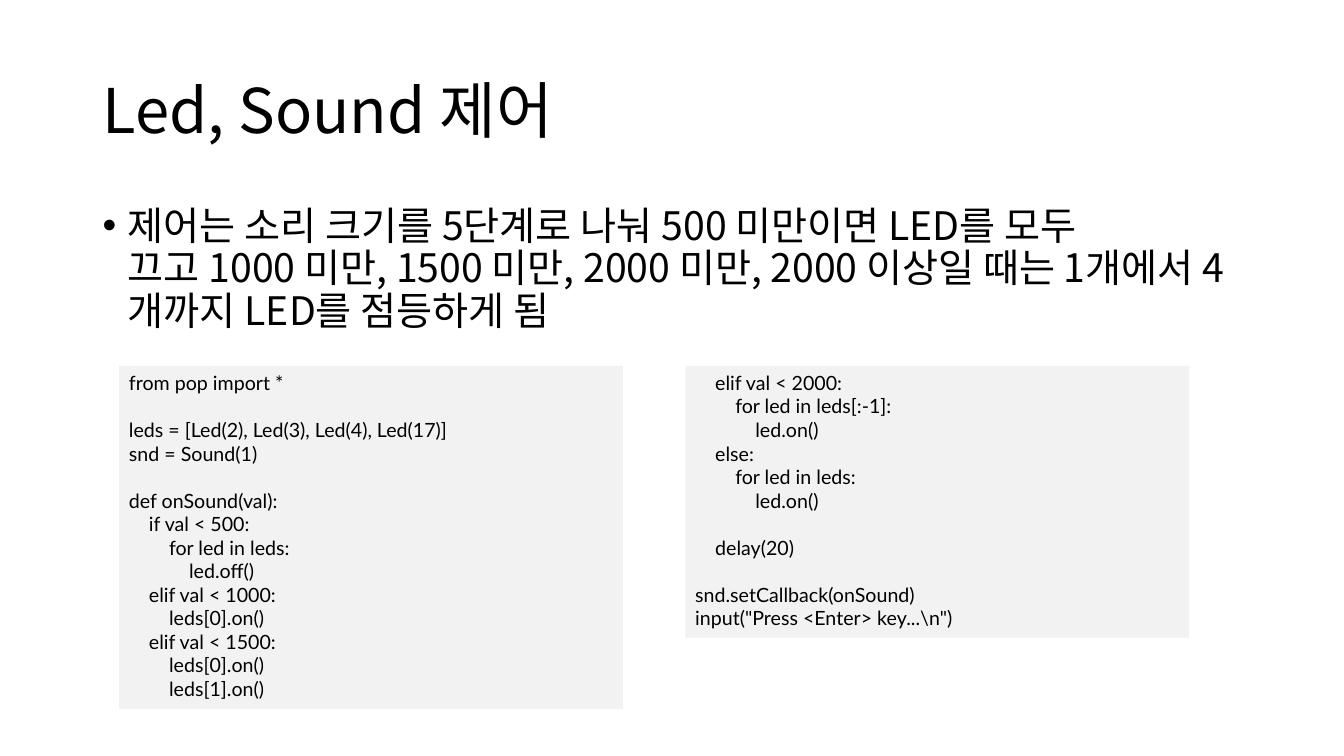
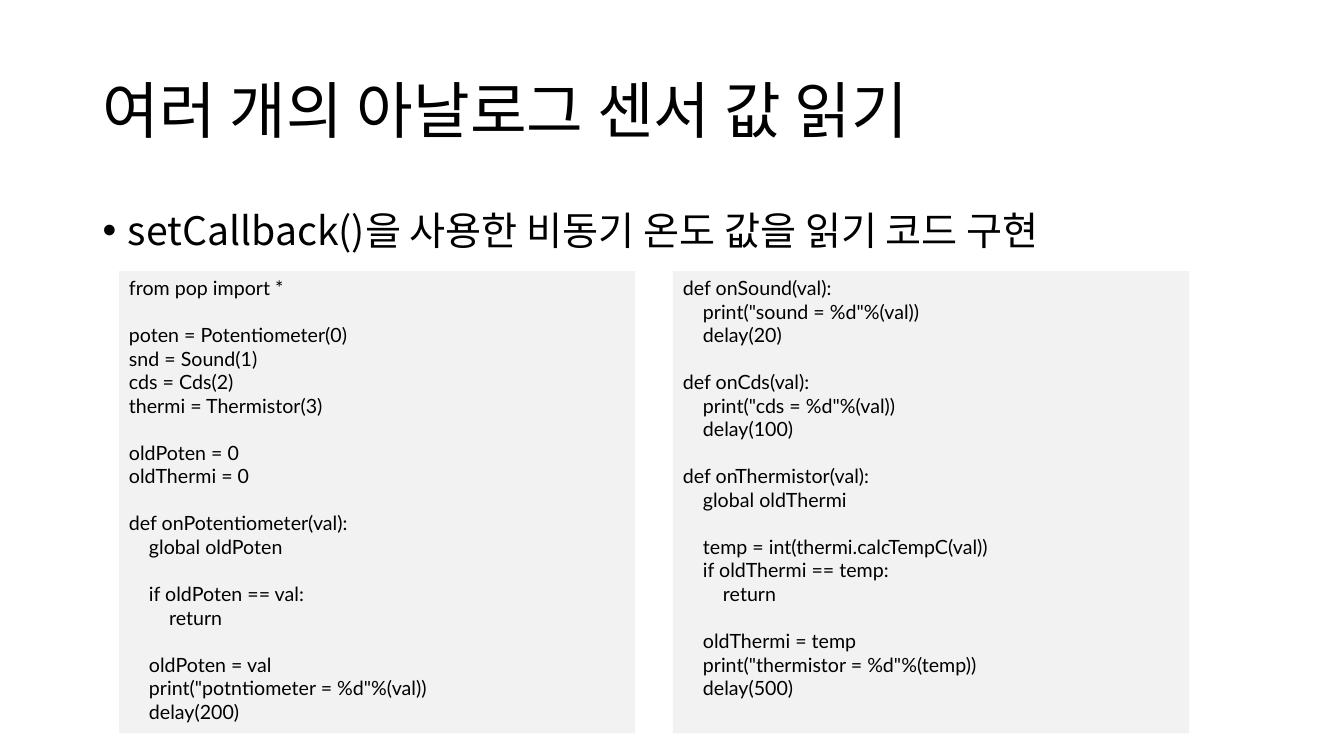
from lxml.etree import SubElement
from pptx import Presentation
from pptx.dml.color import RGBColor as Rgb
from pptx.enum.shapes import MSO_SHAPE as Shape
from pptx.enum.text import MSO_ANCHOR as Anchor, MSO_AUTO_SIZE as Fit, PP_ALIGN as Align
from pptx.oxml.ns import qn
from pptx.util import Cm, Pt

COLORS = {"ink": "000000", "panel": "F2F2F2"}
KOREAN = "Noto Sans CJK KR"
FONTS = {
    "title": {"name": KOREAN, "size": Pt(44), "bold": False},
    "body": {"name": KOREAN, "size": Pt(28), "bold": False},
    "code": {"name": "Lato", "size": Pt(14), "bold": False},
}

# Boxes in cm: left, top, width, height
TITLE = (2.33, 1.01, 29.21, 3.68)
BODY = (2.33, 5.08, 29.21, 13.55)
CODE_LEFT, CODE_WIDTH = 3, 26.97
LINE, PAD = 0.6, 0.25
HANG = Cm(0.64)

LED_TEXT = """제어는 소리 크기를 5단계로 나눠 500 미만이면 LED를 모두 
끄고 1000 미만, 1500 미만, 2000 미만, 2000 이상일 때는 1개에서 4개까지 LED를 점등하게 됨"""

LED_CODE = (
    r"""from pop import *

leds = [Led(2), Led(3), Led(4), Led(17)]
snd = Sound(1)

def onSound(val):
    if val < 500:
        for led in leds:
            led.off()
    elif val < 1000:
        leds[0].on()
    elif val < 1500:
        leds[0].on()
        leds[1].on()""",
    r"""    elif val < 2000:
        for led in leds[:-1]:
            led.on()
    else:
        for led in leds:
            led.on()

    delay(20)

snd.setCallback(onSound)
input("Press <Enter> key...\n")""",
)

SENSOR_CODE = (
    r"""from pop import *

poten = Potentiometer(0)
snd = Sound(1)
cds = Cds(2)
thermi = Thermistor(3)

oldPoten = 0
oldThermi = 0

def onPotentiometer(val):
    global oldPoten

    if oldPoten == val:
        return

    oldPoten = val
    print("potntiometer = %d"%(val))
    delay(200)""",
    r"""def onSound(val):
    print("sound = %d"%(val))
    delay(20)

def onCds(val):
    print("cds = %d"%(val))
    delay(100)

def onThermistor(val):
    global oldThermi

    temp = int(thermi.calcTempC(val))
    if oldThermi == temp:
        return

    oldThermi = temp
    print("thermistor = %d"%(temp))
    delay(500)""",
)


def style(run, role):
    for key, value in FONTS[role].items():
        setattr(run.font, key, value)
    run.font.color.rgb = Rgb.from_string(COLORS["ink"])
    SubElement(run.font._element, qn("a:ea"), typeface=FONTS[role]["name"])


def fill_holder(holder, box, text, role, spacing):
    """Move a placeholder to its box and write one paragraph in it."""
    holder.left, holder.top, holder.width, holder.height = map(Cm, box)
    frame = holder.text_frame
    frame.auto_size = Fit.NONE
    para = frame.paragraphs[0]
    para.text = text
    layout = {"alignment": Align.LEFT, "line_spacing": spacing, "space_before": Pt(0)}
    for key, value in layout.items():
        setattr(para, key, value)
    for run in para.runs:
        style(run, role)
    return para


def add_panel(slide, box, lines):
    panel = slide.shapes.add_shape(Shape.RECTANGLE, *map(Cm, box))
    panel.shadow.inherit = False
    panel.fill.solid()
    panel.fill.fore_color.rgb = Rgb.from_string(COLORS["panel"])
    panel.line.fill.background()
    frame = panel.text_frame
    frame.word_wrap = True
    frame.vertical_anchor = Anchor.TOP
    for num, line in enumerate(lines):
        para = frame.add_paragraph() if num else frame.paragraphs[0]
        para.alignment = Align.LEFT
        run = para.add_run()
        run.text = line or " "  # keeps the code font on an empty line
        style(run, "code")


def add_code(slide, top, gap, code, even):
    """Set listings side by side; even gives them all the tallest height."""
    parts = [part.splitlines() for part in code]
    most = max(map(len, parts))
    width = (CODE_WIDTH - gap * (len(parts) - 1)) / len(parts)
    for num, lines in enumerate(parts):
        left = CODE_LEFT + num * (width + gap)
        height = PAD + LINE * (most if even else len(lines))
        add_panel(slide, (left, top, width, height), lines)


def add_page(deck, title, text, spacing, top, gap, code, even=False):
    slide = deck.slides.add_slide(deck.slide_layouts[1])
    fill_holder(slide.shapes.title, TITLE, title, "title", 0.9)
    para = fill_holder(slide.placeholders[1], BODY, text, "body", spacing)
    props = para._p.get_or_add_pPr()
    props.set("marL", str(HANG))
    props.set("indent", str(-HANG))
    add_code(slide, top, gap, code, even)


def main():
    deck = Presentation()
    deck.slide_width, deck.slide_height = Cm(33.87), Cm(19.05)
    add_page(deck, "Led, Sound 제어", LED_TEXT, 0.9, 9.22, 1.57, LED_CODE)
    add_page(deck, "여러 개의 아날로그 센서 값 읽기",
             "setCallback()을 사용한 비동기 온도 값을 읽기 코드 구현",
             1.0, 6.83, 0.95, SENSOR_CODE, even=True)
    deck.save("out.pptx")


if __name__ == "__main__":
    main()
